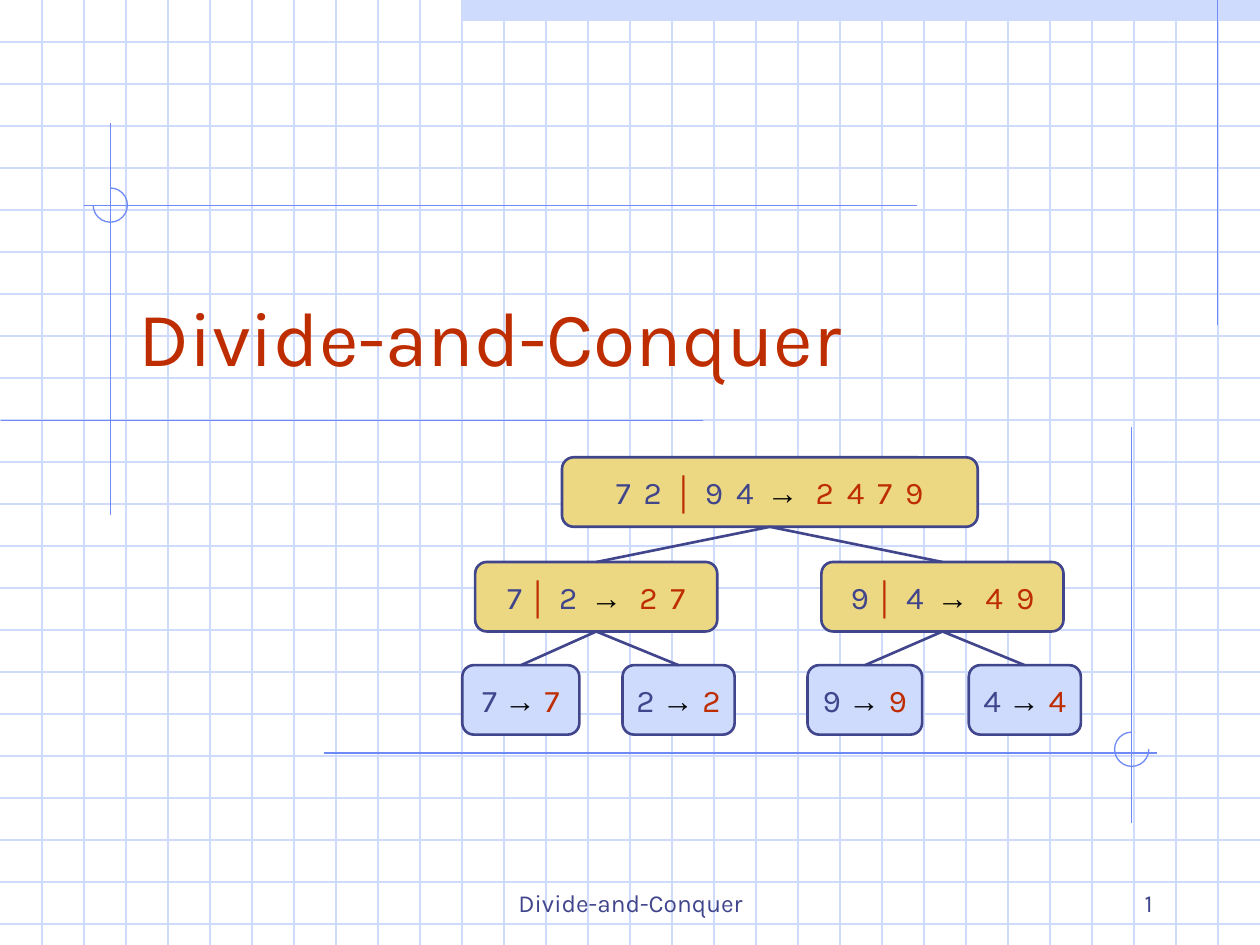
import pptx
import pptx.util
import pptx.dml.color
import pptx.enum.shapes
import pptx.enum.text
from lxml import etree

Cm, Pt = pptx.util.Cm, pptx.util.Pt
SHAPE = pptx.enum.shapes.MSO_SHAPE
ALIGN = pptx.enum.text.PP_ALIGN
ANCHOR = pptx.enum.text.MSO_ANCHOR

WIDTH, HEIGHT = 25.4, 19.05
GRID = 2.54 / 3
NODE_HEIGHT = 1.4
PALE, BLUE, NAVY, RED, GOLD = "CFDBFD", "6F89F7", "40458C", "BE2D00", "ECD882"


def rgb(value):
    return pptx.dml.color.RGBColor.from_string(value)


def add_run(p, text, font="Karla", size=18, color=NAVY, bold=False, spacing=0):
    r = p.add_run()
    r.text = text
    r.font.name, r.font.size, r.font.bold = font, Pt(size), bold
    r.font.color.rgb = rgb(color)
    if spacing:
        r.font._element.set("spc", str(round(spacing * 100)))


def add_text(s, text, left, top, width, height, align=ALIGN.LEFT, **fmt):
    tf = s.shapes.add_textbox(Cm(left), Cm(top), Cm(width), Cm(height)).text_frame
    tf.word_wrap = True
    tf.vertical_anchor = ANCHOR.BOTTOM
    p = tf.paragraphs[0]
    p.alignment = align
    add_run(p, text, **fmt)


def add_line(s, x1, y1, x2, y2, color=BLUE, weight=0.75):
    line = s.shapes.add_connector(pptx.enum.shapes.MSO_CONNECTOR.STRAIGHT,
                                  Cm(x1), Cm(y1), Cm(x2), Cm(y2))
    line.line.color.rgb = rgb(color)
    line.line.width = Pt(weight)
    etree.SubElement(line._element.spPr, pptx.oxml.ns.qn("a:effectLst"))


def add_shape(s, kind, left, top, width, height, fill=None, line=None, weight=0.75):
    sp = s.shapes.add_shape(kind, Cm(left), Cm(top), Cm(width), Cm(height))
    sp.shadow.inherit = False
    if fill:
        sp.fill.solid()
        sp.fill.fore_color.rgb = rgb(fill)
    else:
        sp.fill.background()
    if line:
        sp.line.color.rgb = rgb(line)
        sp.line.width = Pt(weight)
    else:
        sp.line.fill.background()
    return sp


def add_arc(s, left, top, start, end):
    """Three-quarter circle; angles are clockwise degrees from the right."""
    sp = add_shape(s, SHAPE.ARC, left, top, 0.69, 0.69, line=BLUE)
    # Arc adjustments count 0.6 to the degree
    sp.adjustments[0], sp.adjustments[1] = start * 0.6, end * 0.6


def add_node(s, left, top, width, before, after, result, parent=None):
    """Tree node; returns the point where its children attach."""
    leaf = after is None
    sp = add_shape(s, SHAPE.ROUNDED_RECTANGLE, left, top, width, NODE_HEIGHT,
                   fill=PALE if leaf else GOLD, line=NAVY, weight=1.5)
    sp.adjustments[0] = 0.167
    tf = sp.text_frame
    tf.word_wrap = False
    tf.vertical_anchor = ANCHOR.MIDDLE
    p = tf.paragraphs[0]
    p.alignment = ALIGN.CENTER
    # Branch nodes are set wider and show where the sequence is split
    spacing = 0 if leaf else 1.6
    add_run(p, before + " ", spacing=spacing if " " in before else 0)
    if not leaf:
        add_run(p, "│", font="Arial", color=RED, bold=True)
        add_run(p, f" {after} ", spacing=spacing)
    add_run(p, "→ ", font="Arial", color="000000", bold=True, spacing=spacing * 1.5)
    add_run(p, result, color=RED, spacing=spacing)
    center = left + width / 2
    if parent:
        add_line(s, *parent, center, top, color=NAVY, weight=1.5)
    return center, top + NODE_HEIGHT


def add_background(s):
    add_shape(s, SHAPE.RECTANGLE, 11 * GRID, 0, WIDTH - 11 * GRID, GRID / 2, fill=PALE)
    # Graph paper
    for i in range(1, 23):
        add_line(s, 0, i * GRID, WIDTH, i * GRID, color=PALE)
    for i in range(1, 30):
        add_line(s, i * GRID, 0, i * GRID, HEIGHT, color=PALE)
    # Construction lines
    for ends in [(24.55, 0, 24.55, 6.55), (2.23, 2.47, 2.23, 10.39),
                 (0.02, 8.48, 14.17, 8.48), (1.7, 4.14, 18.49, 4.14),
                 (6.53, 15.18, 23.32, 15.18), (22.81, 8.61, 22.81, 16.59)]:
        add_line(s, *ends)
    add_arc(s, 1.88, 3.79, 270, 180)
    add_arc(s, 22.47, 14.76, 0, 270)


def add_merge_tree(s):
    root = add_node(s, 11.33, 9.22, 8.38, "7 2", "9 4", "2 4 7 9")
    left = add_node(s, 9.58, 11.33, 4.88, "7", "2", "2 7", root)
    right = add_node(s, 16.56, 11.33, 4.88, "9", "4", "4 9", root)
    for x, width, digit, parent in [(9.32, 2.36, "7", left), (12.55, 2.26, "2", left),
                                    (16.28, 2.31, "9", right), (19.53, 2.26, "4", right)]:
        add_node(s, x, 13.41, width, digit, None, digit, parent)


def main():
    prs = pptx.Presentation()
    prs.slide_width, prs.slide_height = Cm(WIDTH), Cm(HEIGHT)
    s = prs.slides.add_slide(prs.slide_layouts[6])
    add_background(s)
    add_text(s, "Divide-and-Conquer", 2.54, 4.65, 21.59, 3.18, size=44, color=RED)
    add_merge_tree(s)
    # Footer and slide number
    add_text(s, "Divide-and-Conquer", 8.69, 17.35, 8.05, 1.27, align=ALIGN.CENTER, size=14)
    add_text(s, "1", 18.21, 17.35, 5.28, 1.27, align=ALIGN.RIGHT, size=14)
    prs.save("out.pptx")


if __name__ == "__main__":
    main()
